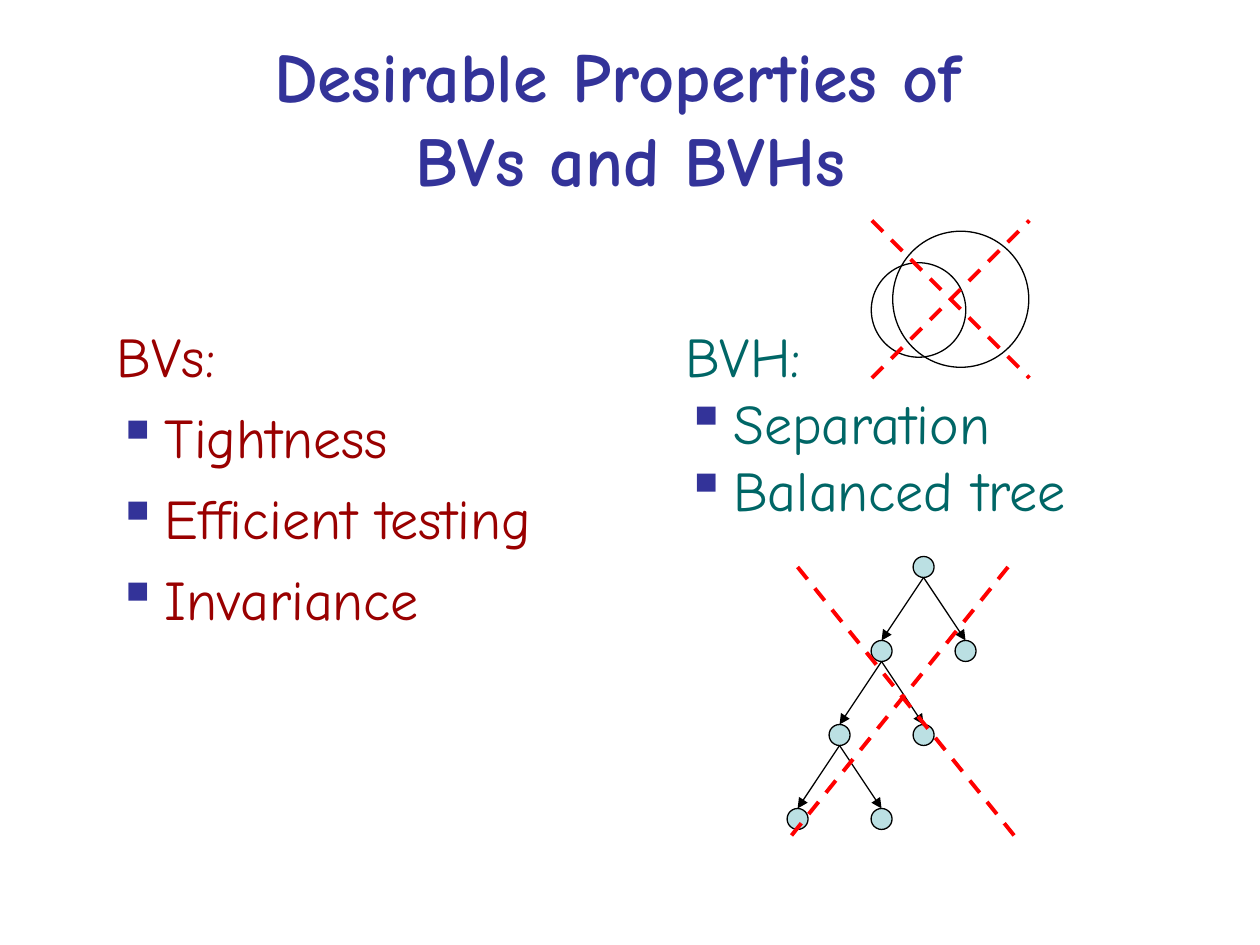
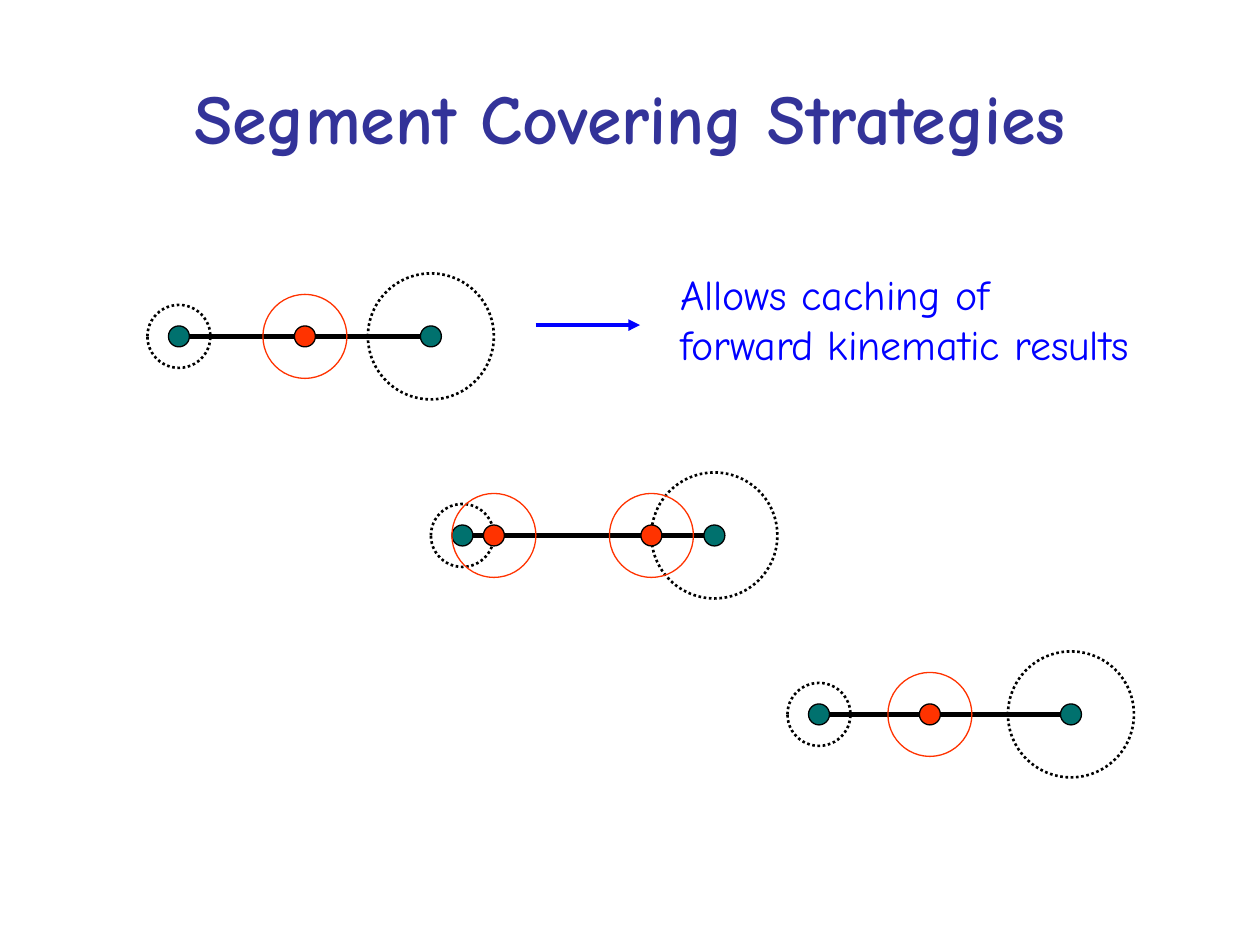
from dataclasses import dataclass
from typing import Optional

import pptx
import pptx.dml.color
import pptx.enum.dml
import pptx.enum.shapes
import pptx.enum.text
import pptx.oxml.ns
import pptx.util
from lxml import etree

Inches = pptx.util.Inches
Pt = pptx.util.Pt
qn = pptx.oxml.ns.qn
DASH = pptx.enum.dml.MSO_LINE.DASH
DOTS = pptx.enum.dml.MSO_LINE.ROUND_DOT
CENTER = pptx.enum.text.PP_ALIGN.CENTER
MIDDLE = pptx.enum.text.MSO_ANCHOR.MIDDLE

FONT = "Comic Neue"
COLORS = {
    "title": "333399", "bv": "990000", "bvh": "006666", "note": "0000FF",
    "ink": "000000", "cross": "FF0000", "node": "BBE0E3",
    "joint": "00716E", "cover": "FF3300",
}
DOT = 1 / 12  # radius of tree nodes and segment joints


@dataclass(frozen=True)
class Pen:
    color: str
    width: float
    dash: Optional[int] = None
    arrow: bool = False


THIN = Pen("ink", 0.75)
EDGE = Pen("ink", 0.75, arrow=True)
CROSS = Pen("cross", 2.25, DASH)
BONE = Pen("ink", 3)
REACH = Pen("ink", 1.5, DOTS)
COVER = Pen("cover", 0.75)
POINTER = Pen("note", 2.25, arrow=True)


@dataclass(frozen=True)
class TextBlock:
    left: float
    top: float
    width: float
    height: float
    lines: tuple[str, ...]
    color: str
    size: int
    gap: float = 0


@dataclass(frozen=True)
class Segment:
    left: float
    y: float
    covers: tuple[float, ...]  # distances from the left joint


def rgb(name: str) -> pptx.dml.color.RGBColor:
    return pptx.dml.color.RGBColor.from_string(COLORS[name])


def apply_pen(line, pen: Pen) -> None:
    line.color.rgb = rgb(pen.color)
    line.width = Pt(pen.width)
    if pen.dash is not None:
        line.dash_style = pen.dash


def draw_circle(shapes, x: float, y: float, radius: float, pen: Pen,
                fill: Optional[str] = None) -> None:
    circle = shapes.add_shape(
        pptx.enum.shapes.MSO_SHAPE.OVAL, Inches(x - radius), Inches(y - radius),
        Inches(2 * radius), Inches(2 * radius))
    circle.shadow.inherit = False
    apply_pen(circle.line, pen)
    if fill:
        circle.fill.solid()
        circle.fill.fore_color.rgb = rgb(fill)
    else:
        circle.fill.background()


def draw_line(shapes, x1: float, y1: float, x2: float, y2: float, pen: Pen) -> None:
    line = shapes.add_connector(
        pptx.enum.shapes.MSO_CONNECTOR.STRAIGHT,
        Inches(x1), Inches(y1), Inches(x2), Inches(y2))
    apply_pen(line.line, pen)
    properties = line._element.spPr
    if pen.arrow:
        etree.SubElement(properties.find(qn("a:ln")), qn("a:tailEnd"), type="triangle")
    etree.SubElement(properties, qn("a:effectLst"))


def add_bullet(paragraph) -> None:
    properties = paragraph._p.get_or_add_pPr()
    properties.set("marL", str(Inches(0.38)))
    properties.set("indent", str(-Inches(0.38)))
    color = etree.SubElement(properties, qn("a:buClr"))
    etree.SubElement(color, qn("a:srgbClr"), val=COLORS["title"])
    etree.SubElement(properties, qn("a:buChar"), char="▪")


def style_font(paragraph, color: str, size: int, bold: bool = False) -> None:
    font = paragraph.font
    font.name = FONT
    font.size = Pt(size)
    font.bold = bold
    font.color.rgb = rgb(color)


def add_frame(slide, left: float, top: float, width: float, height: float):
    frame = slide.shapes.add_textbox(
        Inches(left), Inches(top), Inches(width), Inches(height)).text_frame
    frame.word_wrap = True
    return frame


def draw_text(slide, block: TextBlock) -> None:
    """Draw a heading line followed by bulleted lines."""
    frame = add_frame(slide, block.left, block.top, block.width, block.height)
    for index, text in enumerate(block.lines):
        paragraph = frame.add_paragraph() if index else frame.paragraphs[0]
        paragraph.text = text
        if index:
            add_bullet(paragraph)
            paragraph.space_before = Pt(block.gap)
        style_font(paragraph, block.color, block.size)


def add_titled_slide(deck, title: str):
    slide = deck.slides.add_slide(deck.slide_layouts[6])
    frame = add_frame(slide, 0.5, 0.3, 9, 1.25)
    frame.vertical_anchor = MIDDLE
    heading = frame.paragraphs[0]
    heading.text = title
    heading.alignment = CENTER
    style_font(heading, "title", 40, bold=True)
    return slide


def draw_overlap(shapes) -> None:
    draw_circle(shapes, 7.29, 2.46, 0.375, THIN)
    draw_circle(shapes, 7.625, 2.375, 0.54, THIN)
    draw_line(shapes, 6.92, 1.75, 8.17, 3, CROSS)
    draw_line(shapes, 6.92, 3, 8.17, 1.75, CROSS)


def draw_unbalanced_tree(shapes) -> None:
    root_x, root_y, step_x, step_y = 7.33, 4.5, 1 / 3, 2 / 3
    draw_circle(shapes, root_x, root_y, DOT, THIN, "node")
    # Only the left child of each level branches again
    for level in range(3):
        parent_x, parent_y = root_x - level * step_x, root_y + level * step_y
        for side in (-1, 1):
            child_x, child_y = parent_x + side * step_x, parent_y + step_y
            draw_circle(shapes, child_x, child_y, DOT, THIN, "node")
            draw_line(shapes, parent_x, parent_y + DOT, child_x, child_y - DOT, EDGE)
    draw_line(shapes, 6.33, 4.5, 8.08, 6.67, CROSS)
    draw_line(shapes, 8, 4.5, 6.25, 6.67, CROSS)


def draw_segment(shapes, segment: Segment) -> None:
    right = segment.left + 2
    draw_line(shapes, segment.left, segment.y, right, segment.y, BONE)
    for x, reach in ((segment.left, 0.25), (right, 0.5)):
        draw_circle(shapes, x, segment.y, DOT, THIN, "joint")
        draw_circle(shapes, x, segment.y, reach, REACH)
    for distance in segment.covers:
        x = segment.left + distance
        draw_circle(shapes, x, segment.y, DOT, THIN, "cover")
        draw_circle(shapes, x, segment.y, 1 / 3, COVER)


def build_properties(deck) -> None:
    slide = add_titled_slide(deck, "Desirable Properties of \vBVs and BVHs")
    draw_text(slide, TextBlock(
        0.83, 2.5, 4.08, 4.53,
        ("BVs:", "Tightness", "Efficient testing", "Invariance"), "bv", 32, gap=8))
    draw_text(slide, TextBlock(
        5.34, 2.5, 3.35, 2.24, ("BVH:", "Separation", "Balanced tree"), "bvh", 32))
    for draw_counterexample in (draw_overlap, draw_unbalanced_tree):
        draw_counterexample(slide.shapes.add_group_shape().shapes)


def build_strategies(deck) -> None:
    slide = add_titled_slide(deck, "Segment Covering Strategies")
    for segment in (
        Segment(1.42, 2.67, (1,)),
        Segment(3.67, 4.25, (0.25, 1.5)),
        Segment(6.5, 5.67, (0.88,)),
    ):
        draw_segment(slide.shapes.add_group_shape().shapes, segment)
    draw_text(slide, TextBlock(
        5.3, 2.08, 3.79, 0.9,
        ("Allows caching of\vforward kinematic results",), "note", 24))
    draw_line(slide.shapes, 4.25, 2.58, 5.08, 2.58, POINTER)


def main() -> None:
    deck = pptx.Presentation()
    deck.slide_width, deck.slide_height = Inches(10), Inches(7.5)
    build_properties(deck)
    build_strategies(deck)
    deck.save("out.pptx")


if __name__ == "__main__":
    main()
